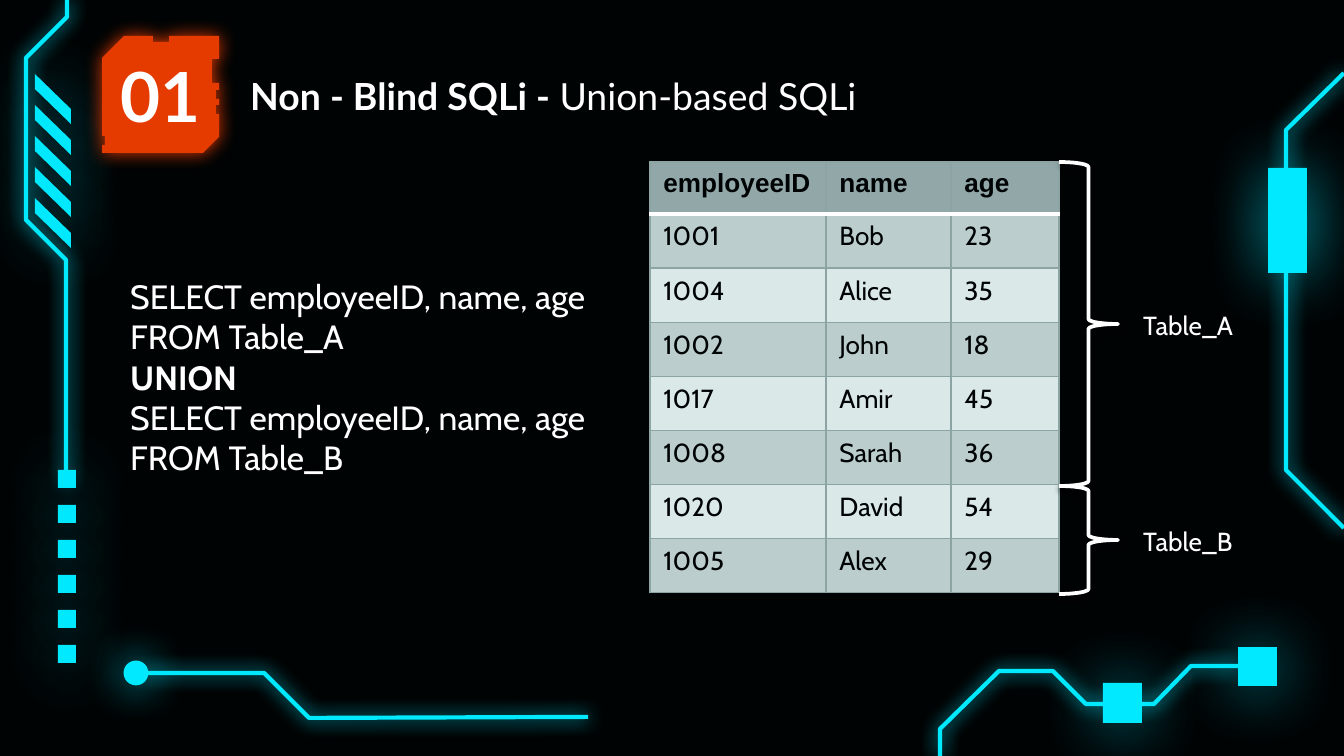
from lxml import etree
from pptx import Presentation, util as u
from pptx.dml.color import RGBColor
from pptx.enum import shapes, text
from pptx.oxml.ns import qn

PX = 914400 / 134.4
CYAN, RED, WHITE, BLACK = "00E9FF", "E63B00", "FFFFFF", "000304"
EDGE, HEAD, DARK, LIGHT = "8DA4A5", "91A7A8", "BCCDCD", "DAE8E8"
ROWS = [
    ["employeeID", "name", "age"],
    ["1001", "Bob", "23"],
    ["1004", "Alice", "35"],
    ["1002", "John", "18"],
    ["1017", "Amir", "45"],
    ["1008", "Sarah", "36"],
    ["1020", "David", "54"],
    ["1005", "Alex", "29"],
]


def px(*vals):
    return [u.Emu(round(v * PX)) for v in vals]


def rgb(code):
    return RGBColor.from_string(code)


def add(parent, tag, **attrs):
    return etree.SubElement(parent, qn(tag), {k: str(v) for k, v in attrs.items()})


def style(shape, fill=None, line=None, width=2.25, glow=None):
    """Set fill and line; glow is (colour, opacity %, blur pt, drop pt)."""
    shape.shadow.inherit = False
    if fill:
        shape.fill.solid()
        shape.fill.fore_color.rgb = rgb(fill)
    else:
        shape.fill.background()
    if line:
        shape.line.color.rgb = rgb(line)
        shape.line.width = u.Pt(width)
    else:
        shape.line.fill.background()
    if glow:
        code, alpha, blur, drop = glow
        effect = shape._element.spPr.find(qn("a:effectLst"))
        shade = add(effect, "a:outerShdw", blurRad=u.Pt(blur), dist=u.Pt(drop),
                    dir=5400000, algn="ctr", rotWithShape=0)
        color = add(shade, "a:srgbClr", val=code)
        add(color, "a:alpha", val=alpha * 1000)


def outline(slide, points, closed=False, **look):
    build = slide.shapes.build_freeform(*points[0], scale=PX)
    build.add_line_segments(points[1:], close=closed)
    style(build.convert_to_shape(), **look)


def preset(slide, kind, box, **look):
    style(slide.shapes.add_shape(kind, *px(*box)), **look)


def write(frame, lines, size=14, font="Cabin", color=WHITE, align=None):
    """Fill a frame with lines, each a list of (words, bold) runs."""
    for i, line in enumerate(lines):
        para = frame.add_paragraph() if i else frame.paragraphs[0]
        para.alignment = align
        for words, bold in line:
            run = para.add_run()
            run.text = words
            run.font.name, run.font.size, run.font.bold = font, u.Pt(size), bold
            run.font.color.rgb = rgb(color)


def label(slide, box, lines, top=7, anchor=text.MSO_ANCHOR.TOP, **form):
    frame = slide.shapes.add_textbox(*px(*box)).text_frame
    frame.word_wrap = True
    frame.margin_top = px(top)[0]
    frame.vertical_anchor = anchor
    write(frame, lines, **form)


def border(cell, side, color, width):
    line = add(cell._tc.get_or_add_tcPr(), f"a:ln{side}", w=u.Pt(width))
    add(add(line, "a:solidFill"), "a:srgbClr", val=color)


def table(slide):
    grid = slide.shapes.add_table(len(ROWS), 3, *px(650, 162, 409, 431)).table
    grid.horz_banding = False
    for col, width in zip(grid.columns, px(176, 125, 108)):
        col.width = width
    for r, row in enumerate(ROWS):
        grid.rows[r].height = px(54.14 if r else 52)[0]
        for c, word in enumerate(row):
            cell = grid.cell(r, c)
            for side in "LRTB":
                rule = (side == "B" and r == 0) or (side == "T" and r == 1)
                border(cell, side, *((WHITE, 2) if rule else (EDGE, 0.75)))
            cell.fill.solid()
            cell.fill.fore_color.rgb = rgb((DARK if r % 2 else LIGHT) if r else HEAD)
            write(cell.text_frame, [[(word, r == 0)]], color=BLACK,
                  font="Cabin" if r else "Arial")


def frame_art(slide):
    """Neon lines and blocks around the edge."""
    wide, thin = (CYAN, 70, 36, 1.5), (CYAN, 100, 10.1, 0)
    for i in range(5):
        y = 74 + 31 * i
        bar = [(35, y), (71, y + 35), (71, y + 50), (35, y + 15)]
        outline(slide, bar, closed=True, fill=CYAN, glow=wide)
    wires = [
        [(67, 0), (67, 17), (26, 58), (26, 220), (66, 260), (66, 483)],
        [(1344, 73), (1286, 130), (1286, 470), (1344, 528)],
        [(940, 756), (940, 729), (999, 671), (1053, 671), (1086, 704),
         (1154, 704), (1191, 666), (1238, 666)],
        [(142, 673), (264, 673), (309, 718), (588, 717)],
    ]
    for wire in wires:
        outline(slide, wire, line=CYAN, glow=thin)
    blocks = [(58, 470 + 35 * i, 18, 18) for i in range(6)]
    blocks += [(1238, 647, 39, 39), (1103, 683, 39, 40), (1268, 168, 39, 105)]
    for block in blocks:
        preset(slide, shapes.MSO_SHAPE.RECTANGLE, block, fill=CYAN, glow=wide)
    preset(slide, shapes.MSO_SHAPE.OVAL, (125, 662, 22, 22), fill=CYAN,
           line=CYAN, width=1.5, glow=(CYAN, 100, 22.5, 0))


def badge(slide):
    points = [
        (124, 36), (102, 58), (102, 136), (105, 136), (105, 145), (102, 145),
        (102, 153), (203, 153), (219, 137), (219, 114), (216, 114), (216, 105),
        (219, 105), (219, 99), (216, 99), (216, 90), (219, 90), (219, 83),
        (212, 83), (212, 59), (219, 59), (219, 36), (169, 36), (169, 42),
        (153, 42), (153, 36),
    ]
    outline(slide, points, closed=True, fill=RED, glow=(RED, 100, 10.1, 0))
    label(slide, (102, 54, 118, 82), [[("01", True)]], size=37, font="Lato",
          anchor=text.MSO_ANCHOR.MIDDLE, align=text.PP_ALIGN.CENTER)


def main():
    deck = Presentation()
    deck.slide_width, deck.slide_height = px(1344, 756)
    slide = deck.slides.add_slide(deck.slide_layouts[6])
    slide.background.fill.solid()
    slide.background.fill.fore_color.rgb = rgb(BLACK)
    frame_art(slide)
    badge(slide)
    label(slide, (237, 73, 648, 44), top=0, size=20, font="Lato",
          lines=[[("Non - Blind SQLi - ", True), ("Union-based SQLi", False)]])
    table(slide)
    query = ["SELECT employeeID, name, age", "FROM Table_A", "UNION",
             "SELECT employeeID, name, age", "FROM Table_B"]
    label(slide, (117, 269, 499, 218), size=18,
          lines=[[(line, line == "UNION")] for line in query])
    for name, top, tall in [("Table_A", 162, 324), ("Table_B", 486, 108)]:
        preset(slide, shapes.MSO_SHAPE.RIGHT_BRACE, (1059, top, 59, tall),
               line=WHITE, width=2, glow=("000000", 38, 3.1, 1.6))
        label(slide, (1130, top + tall // 2 - 22, 124, 45), [[(name, False)]])
    deck.save("out.pptx")


if __name__ == "__main__":
    main()
